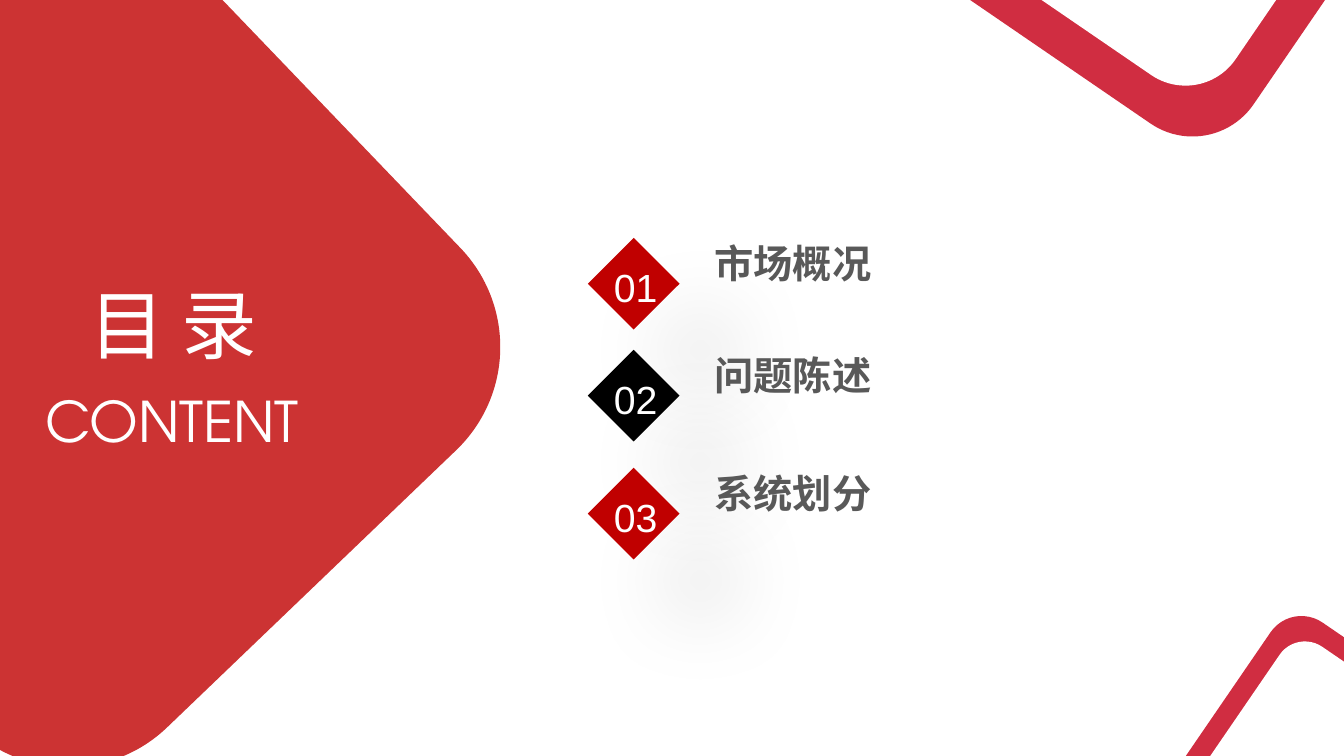
"""Build the contents slide with three numbered topics."""
from lxml import etree
from pptx import Presentation
from pptx.dml.color import RGBColor
from pptx.enum.shapes import MSO_SHAPE
from pptx.enum.text import MSO_AUTO_SIZE, PP_ALIGN
from pptx.oxml.ns import qn
from pptx.util import Inches, Pt

ROUNDED, DIAMOND = MSO_SHAPE.ROUNDED_RECTANGLE, MSO_SHAPE.DIAMOND
LEFT, CENTER, JUSTIFY = PP_ALIGN.LEFT, PP_ALIGN.CENTER, PP_ALIGN.JUSTIFY
FIT = MSO_AUTO_SIZE.SHAPE_TO_FIT_TEXT

COLORS = {"red": "C00000", "black": "000000", "frame": "D02D41",
          "white": "FFFFFF", "gray": "595959"}
HEADING_FONT, BODY_FONT = "TeX Gyre Adventor", "Arial"
WIDTH, HEIGHT = 13.33, 7.5

HEADINGS = [
    ("目 录", 54, CENTER, (0.75, 2.71, 1.94, 1.01)),
    ("CONTENT", 40, JUSTIFY, (0.35, 3.79, 2.75, 0.77)),
]
TOPICS = [
    ("01", "市场概况", "red", 2.33),
    ("02", "问题陈述", "black", 3.44),
    ("03", "系统划分", "red", 4.61),
]
FRAMES = [(11.99, 6.4, 2.22, 0.2), (9.24, -3.63, 4.41, 0.4)]
PANEL = (-2.65, 0.03, 6.81, 6.75)
PANEL_TURN, FRAME_TURN = 316.2, 304.4
MARK_X, MARK_SIZE, NUMBER_X, TITLE_X = 5.83, 0.91, 5.9, 6.99


def add_block(shapes, preset, box, color, turn=0):
    block = shapes.add_shape(preset, *map(Inches, box))
    block.shadow.inherit = False
    block.fill.solid()
    block.fill.fore_color.rgb = RGBColor.from_string(COLORS[color])
    block.line.fill.background()
    block.rotation = turn
    return block


def add_label(shapes, text, box, size, font, color, align=LEFT,
              bold=False, wrap=False, spacing=None):
    label = shapes.add_textbox(*map(Inches, box))
    frame = label.text_frame
    frame.word_wrap = wrap
    frame.auto_size = FIT
    paragraph = frame.paragraphs[0]
    paragraph.alignment = align
    paragraph.line_spacing = spacing
    run = paragraph.add_run()
    run.text = text
    run.font.size = Pt(size)
    run.font.name = font
    run.font.bold = bold
    run.font.color.rgb = RGBColor.from_string(COLORS[color])


def set_alpha(color_element, percent):
    etree.SubElement(color_element, qn("a:alpha"), val=str(percent * 1000))


def cast_shadow(block):
    effects = block.element.spPr.find(qn("a:effectLst"))
    shadow = etree.SubElement(
        effects, qn("a:outerShdw"), blurRad=str(Pt(61)), dist=str(Pt(67)),
        dir=str(45 * 60000), algn="tl", rotWithShape="0")
    tint = etree.SubElement(shadow, qn("a:srgbClr"), val=COLORS["black"])
    set_alpha(tint, 11)


def add_topic(slide, number, title, color, top):
    shapes = slide.shapes.add_group_shape().shapes
    add_label(shapes, title, (TITLE_X, top, 1.77, 0.57), 28, BODY_FONT,
              "gray", bold=True)
    mark = add_block(shapes, DIAMOND,
                     (MARK_X, top + 0.03, MARK_SIZE, MARK_SIZE), color)
    cast_shadow(mark)
    add_label(shapes, number, (NUMBER_X, top + 0.17, 0.81, 0.59), 28,
              BODY_FONT, "white", CENTER, wrap=True, spacing=1.14)


def add_frame(slide, left, top, size, band):
    shapes = slide.shapes.add_group_shape().shapes
    for inset, color in ((0, "frame"), (band, "white")):
        side = size - 2 * inset
        add_block(shapes, ROUNDED, (left + inset, top + inset, side, side),
                  color, FRAME_TURN)


def main():
    deck = Presentation()
    deck.slide_width, deck.slide_height = Inches(WIDTH), Inches(HEIGHT)
    slide = deck.slides.add_slide(deck.slide_layouts[6])
    panel = add_block(slide.shapes, ROUNDED, PANEL, "red", PANEL_TURN)
    panel.adjustments[0] = 0.21
    set_alpha(panel.element.spPr.find(qn("a:solidFill"))[0], 80)
    for text, size, align, box in HEADINGS:
        add_label(slide.shapes, text, box, size, HEADING_FONT, "white", align)
    for topic in TOPICS:
        add_topic(slide, *topic)
    for frame in FRAMES:
        add_frame(slide, *frame)
    deck.save("out.pptx")


if __name__ == "__main__":
    main()
